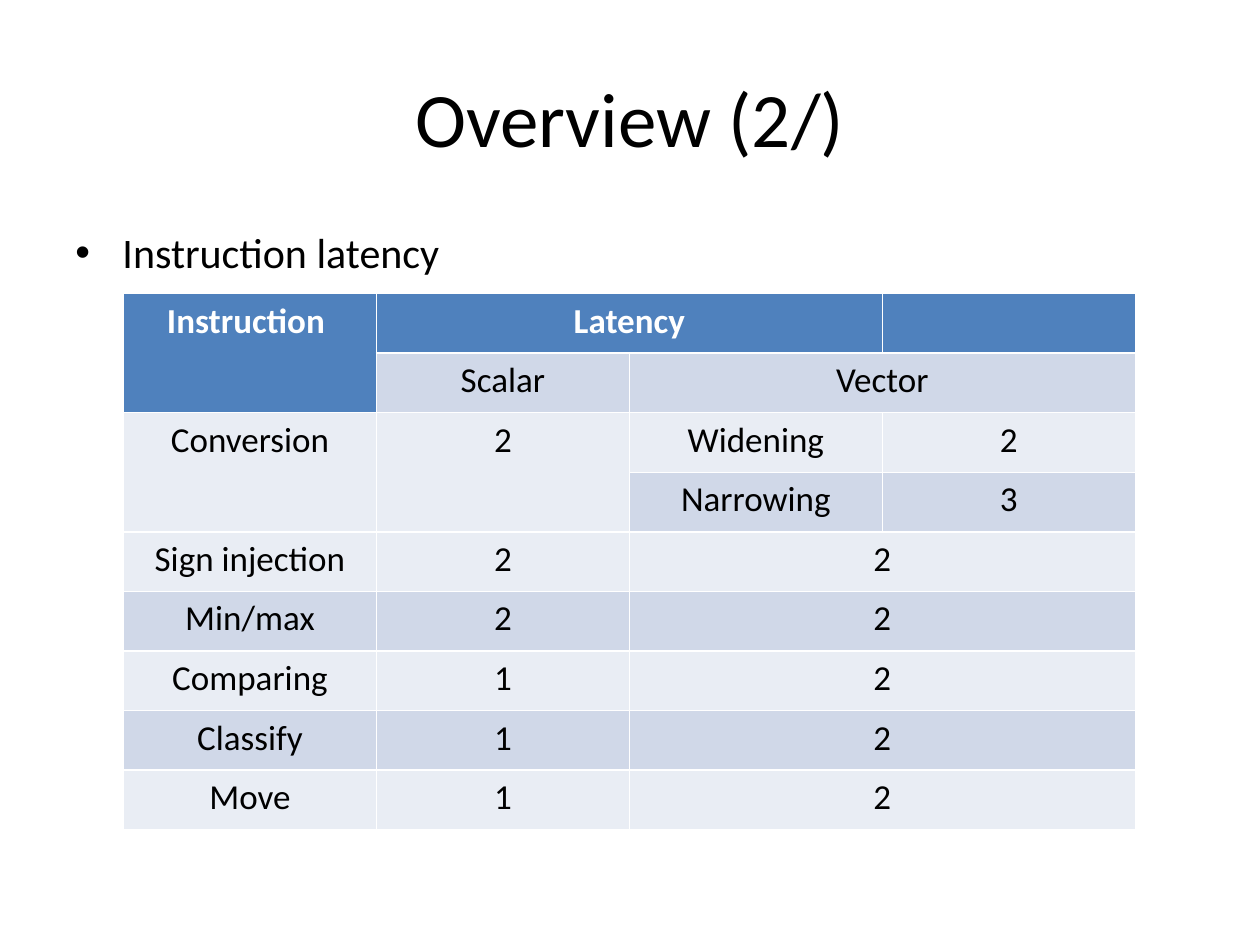
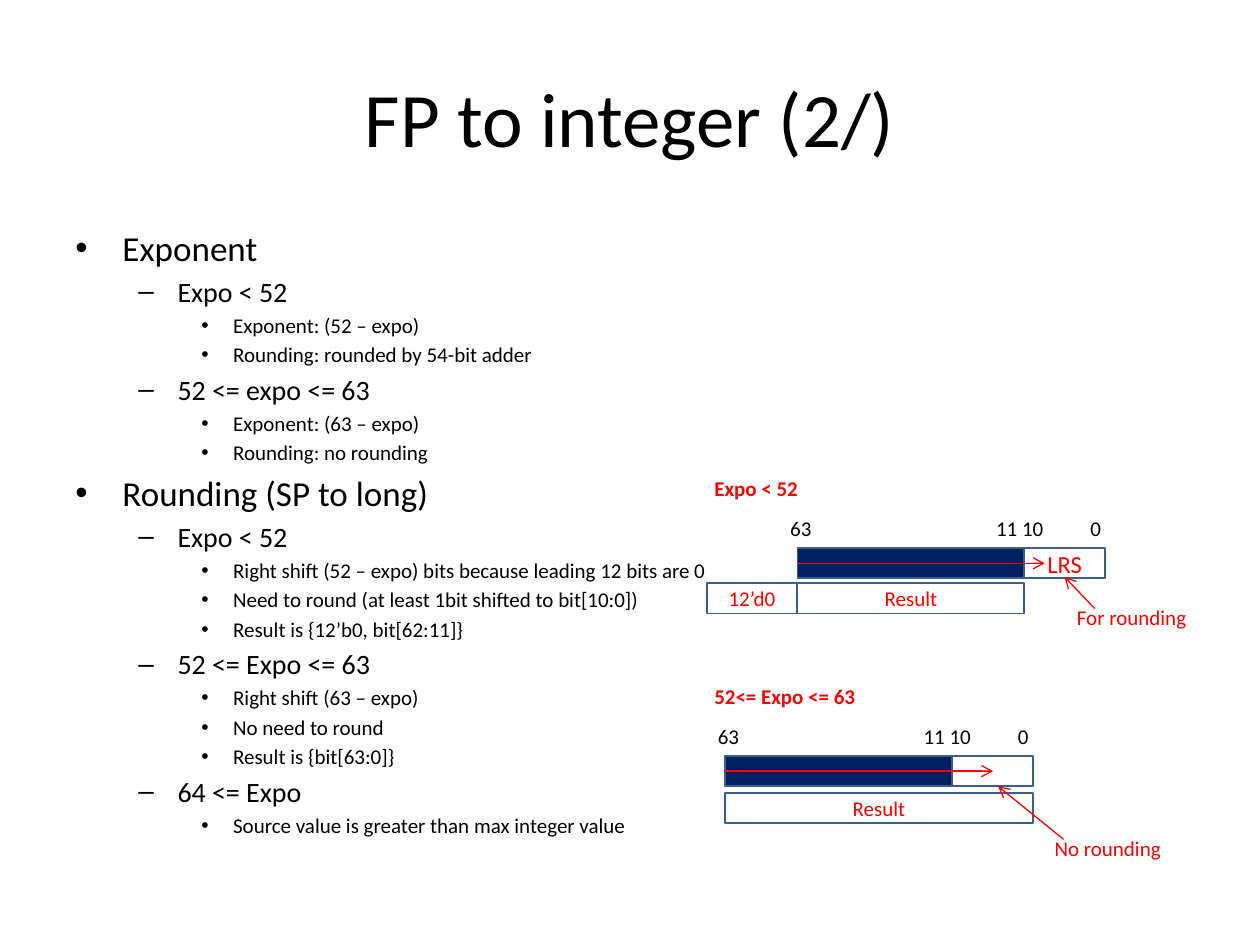
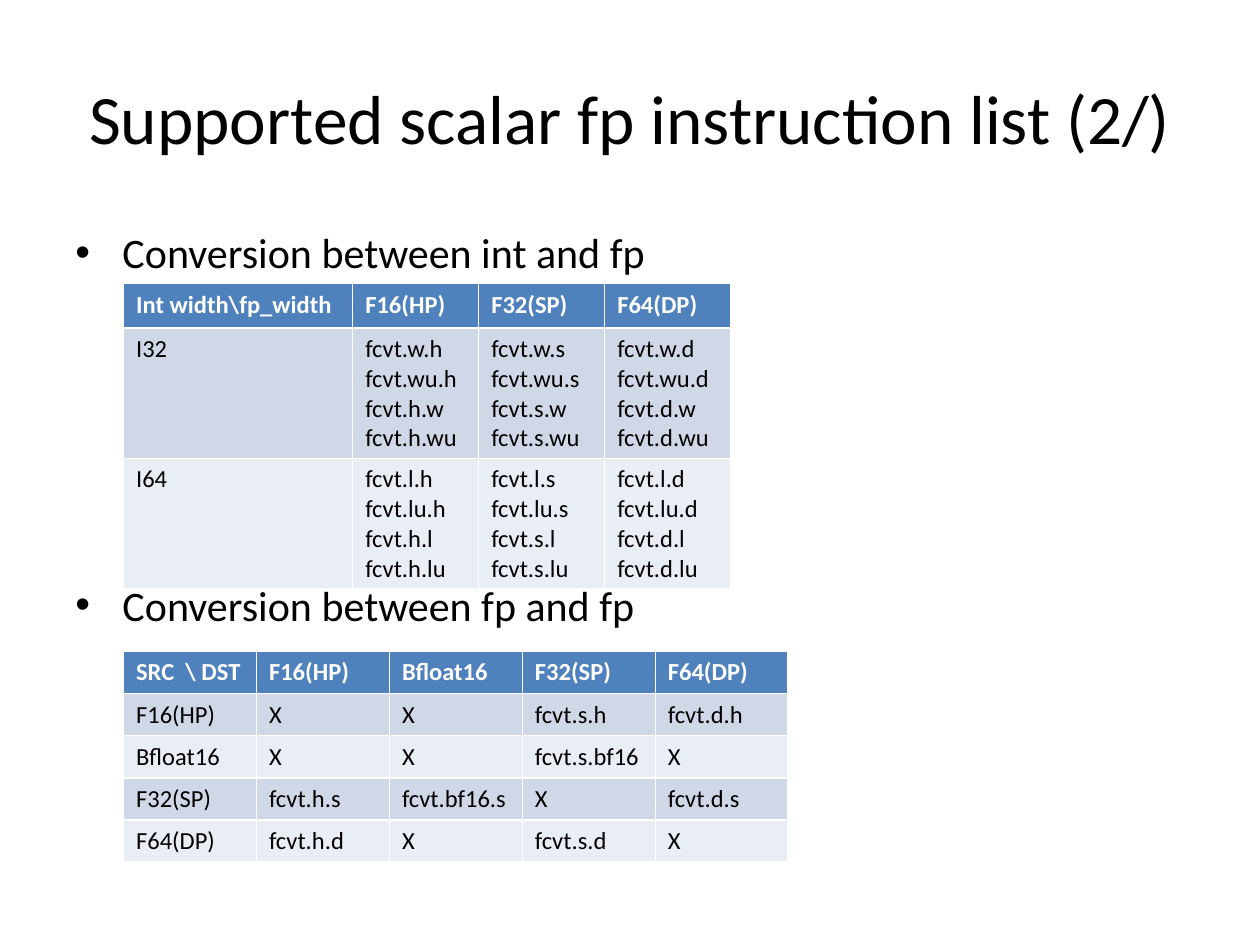
from lxml.etree import SubElement as Sub
from pptx import Presentation
from pptx.dml.color import RGBColor
from pptx.enum.shapes import MSO_CONNECTOR as Link, MSO_SHAPE as Form
from pptx.enum.text import MSO_ANCHOR as Anchor, MSO_AUTO_SIZE as Auto, PP_ALIGN as Align
from pptx.oxml.ns import qn
from pptx.util import Cm, Pt

BLACK, WHITE, RED = "000000", "FFFFFF", "FF0000"
NAVY, EDGE = "002060", "3A5F8C"
HEAD, BANDS = "4F81BD", ("E9EDF4", "D0D8E8")
# Indent and hanging part in cm, then the bullet sign, for each level
LEVELS = ((0.95, 0.95, "•"), (2.06, 0.79, "–"), (3.18, 0.64, "•"))
DARK, LOW, TALL = 4.57, 1.63, 0.61  # widths and height of a bit field
TABS = (4.15, 6.05)


def color(code):
    return RGBColor.from_string(code)


def assign(item, **values):
    for name, value in values.items():
        setattr(item, name, value)


class Deck:
    """Holds the style and the slide being filled."""

    def __init__(self):
        self.prs = Presentation()
        assign(self.prs, slide_width=Cm(25.4), slide_height=Cm(19.05))

    def page(self, title, size=44):
        self.slide = self.prs.slides.add_slide(self.prs.slide_layouts[6])
        frame = self.text(title, 1.27, 0.76, 22.86, 3.18, size=size, align=Align.CENTER)
        frame.vertical_anchor = Anchor.MIDDLE

    def fill(self, frame, text, size=12, ink=BLACK, bold=False, align=Align.LEFT):
        """Put styled text into a frame."""
        frame.text = text
        for para in frame.paragraphs:
            para.alignment = align
            for run in para.runs:
                assign(run.font, name="Calibri", size=Pt(size), bold=bold)
                run.font.color.rgb = color(ink)

    def text(self, text, *at, wrap=True, **style):
        frame = self.slide.shapes.add_textbox(*map(Cm, at)).text_frame
        self.fill(frame, text, **style)
        frame.word_wrap = wrap
        return frame

    def note(self, text, *at, **style):
        """Red label that grows with its text."""
        frame = self.text(text, *at, 0.76, wrap=False, ink=RED, **style)
        frame.auto_size = Auto.SHAPE_TO_FIT_TEXT

    def bullets(self, items, sizes, gap=None):
        """Items are (level, text); gap is the space in points above the last."""
        text = "\n".join(line for _, line in items)
        frame = self.text(text, 1.27, 4.45, 22.86, 12.57)
        for para, (level, _) in zip(frame.paragraphs, items):
            left, hang, sign = LEVELS[level]
            para.level = level
            para.runs[0].font.size = Pt(sizes[level])
            props = para._p.get_or_add_pPr()
            props.set("marL", str(Cm(left)))
            props.set("indent", str(-Cm(hang)))
            Sub(Sub(props, qn("a:spcBef")), qn("a:spcPct"), val="20000")
            Sub(props, qn("a:buFont"), typeface="Arial")
            Sub(props, qn("a:buChar"), char=sign)
        if gap:
            para.space_before = Pt(gap)

    def rect(self, *at, text="", fill=None, size=12):
        shape = self.slide.shapes.add_shape(Form.RECTANGLE, *map(Cm, at), Cm(TALL))
        shape.shadow.inherit = False
        if fill:
            shape.fill.solid()
            shape.fill.fore_color.rgb = color(fill)
        else:
            shape.fill.background()
        shape.line.color.rgb = color(EDGE)
        shape.line.width = Pt(1)
        if text:
            self.fill(shape.text_frame, text, size=size, ink=RED, align=Align.CENTER)

    def arrow(self, *ends):
        link = self.slide.shapes.add_connector(Link.STRAIGHT, *map(Cm, ends))
        link.line.color.rgb = color(RED)
        link.line.width = Pt(0.75)
        Sub(link.line._ln, qn("a:tailEnd"), type="arrow")
        Sub(link._element.spPr, qn("a:effectLst"))

    def word(self, left, top, title, end, low=""):
        """A 64-bit word with its bit numbers, caption and shift arrow."""
        self.rect(left, top, DARK, fill=NAVY)
        self.rect(left + DARK, top, LOW, text=low, size=14)
        ruler = self.text("63\t11 10\t0", left - 0.4, top - 0.78, 7.19, 0.76)
        tabs = Sub(ruler.paragraphs[0]._p.get_or_add_pPr(), qn("a:tabLst"))
        for stop in TABS:
            Sub(tabs, qn("a:tab"), pos=str(Cm(stop)), algn="l")
        self.arrow(left, top + TALL / 2, end, top + TALL / 2)
        self.note(title, 14.15, top - 1.58, 2.24 if low else 3.38, bold=True)

    def table(self, rows, top, widths, heights, merges=(), size=14, align=Align.LEFT):
        shape = self.slide.shapes.add_table(
            len(rows), len(widths), Cm(2.49), Cm(top), Cm(sum(widths)), Cm(sum(heights)))
        grid = shape.table
        for col, width in zip(grid.columns, widths):
            col.width = Cm(width)
        for y, (row, height) in enumerate(zip(rows, heights)):
            grid.rows[y].height = Cm(height)
            for x, text in enumerate(row):
                cell = grid.cell(y, x)
                head = y == 0
                cell.fill.solid()
                cell.fill.fore_color.rgb = color(HEAD if head else BANDS[y % 2])
                self.fill(cell.text_frame, text, size=size, bold=head,
                          ink=WHITE if head else BLACK, align=align)
        for start, stop in merges:
            grid.cell(*start).merge(grid.cell(*stop))


def latency(deck):
    deck.page("Overview (2/)")
    deck.bullets([(0, "Instruction latency")], [24])
    plain = (("Sign injection", "2"), ("Min/max", "2"), ("Comparing", "1"),
             ("Classify", "1"), ("Move", "1"))
    rows = [("Instruction ", "Latency", "", ""),
            ("", "Scalar", "Vector", ""),
            ("Conversion", "2", "Widening", "2"),
            ("", "", "Narrowing", "3"),
            *((name, scalar, "2", "") for name, scalar in plain)]
    merges = [((0, 0), (1, 0)), ((0, 1), (0, 2)), ((2, 0), (3, 0)), ((2, 1), (3, 1))]
    merges += [((y, 2), (y, 3)) for y in (1, *range(4, 9))]
    deck.table(rows, 5.92, [5.1] * 4, [1.2] * 9, merges, size=20, align=Align.CENTER)


def integer(deck):
    deck.page("FP to integer (2/)")
    deck.bullets([
        (0, "Exponent"),
        (1, "Expo < 52"),
        (2, "Exponent: (52 – expo)"),
        (2, "Rounding: rounded by 54-bit adder"),
        (1, "52 <= expo <= 63"),
        (2, "Exponent: (63 – expo)"),
        (2, "Rounding: no rounding"),
        (0, "Rounding (SP to long)"),
        (1, "Expo < 52"),
        (2, "Right shift (52 – expo) bits because leading 12 bits are 0"),
        (2, "Need to round (at least 1bit shifted to bit[10:0])"),
        (2, "Result is {12’b0, bit[62:11]}"),
        (1, "52 <= Expo <= 63"),
        (2, "Right shift (63 – expo)"),
        (2, "No need to round"),
        (2, "Result is {bit[63:0]}"),
        (1, "64 <= Expo"),
        (2, "Source value is greater than max integer value"),
    ], (20, 16, 12))
    deck.word(16.08, 11.05, "Expo < 52", 21.06, low="LRS")
    deck.rect(14.25, 11.76, 1.82, text="12’d0")
    deck.rect(16.08, 11.76, DARK, text="Result")
    deck.note("For rounding", 21.46, 12.07, 2.74)
    deck.arrow(22.07, 12.27, 21.46, 11.63)
    deck.word(14.62, 15.24, "52<= Expo <= 63", 20.02)
    deck.rect(14.62, 15.98, DARK + LOW, text="Result")
    deck.note("No rounding", 21.01, 16.71, 2.67)
    deck.arrow(21.44, 16.92, 20.12, 15.85)


def convert(whole, real):
    """The four conversions between an integer and a float type."""
    pairs = ((whole, real), (whole + "u", real), (real, whole), (real, whole + "u"))
    return "\n".join(f"fcvt.{to}.{by}" for to, by in pairs)


def scalar(deck):
    deck.page("Supported scalar fp instruction list (2/)", size=39.6)
    deck.bullets([(0, "Conversion between int and fp"),
                  (0, "Conversion between fp and fp")], [24], gap=172.4)
    rows = [(r"Int width\fp_width", "F16(HP)", "F32(SP)", "F64(DP)")]
    for name, whole in (("I32", "w"), ("I64", "l")):
        rows.append((name, *(convert(whole, real) for real in "hsd")))
    deck.table(rows, 5.72, [4.62] + [2.54] * 3, [0.89, 2.63, 2.63])
    rows = [(r"SRC  \ DST", "F16(HP)", "Bfloat16", "F32(SP)", "F64(DP)"),
            ("F16(HP)", "X", "X", "fcvt.s.h", "fcvt.d.h"),
            ("Bfloat16", "X", "X", "fcvt.s.bf16", "X"),
            ("F32(SP)", "fcvt.h.s", "fcvt.bf16.s", "X", "fcvt.d.s"),
            ("F64(DP)", "fcvt.h.d", "X", "fcvt.s.d", "X")]
    deck.table(rows, 13.13, [2.68] * 5, [0.85] * 5)


def main():
    deck = Deck()
    for build in (latency, integer, scalar):
        build(deck)
    deck.prs.save("out.pptx")


if __name__ == "__main__":
    main()
